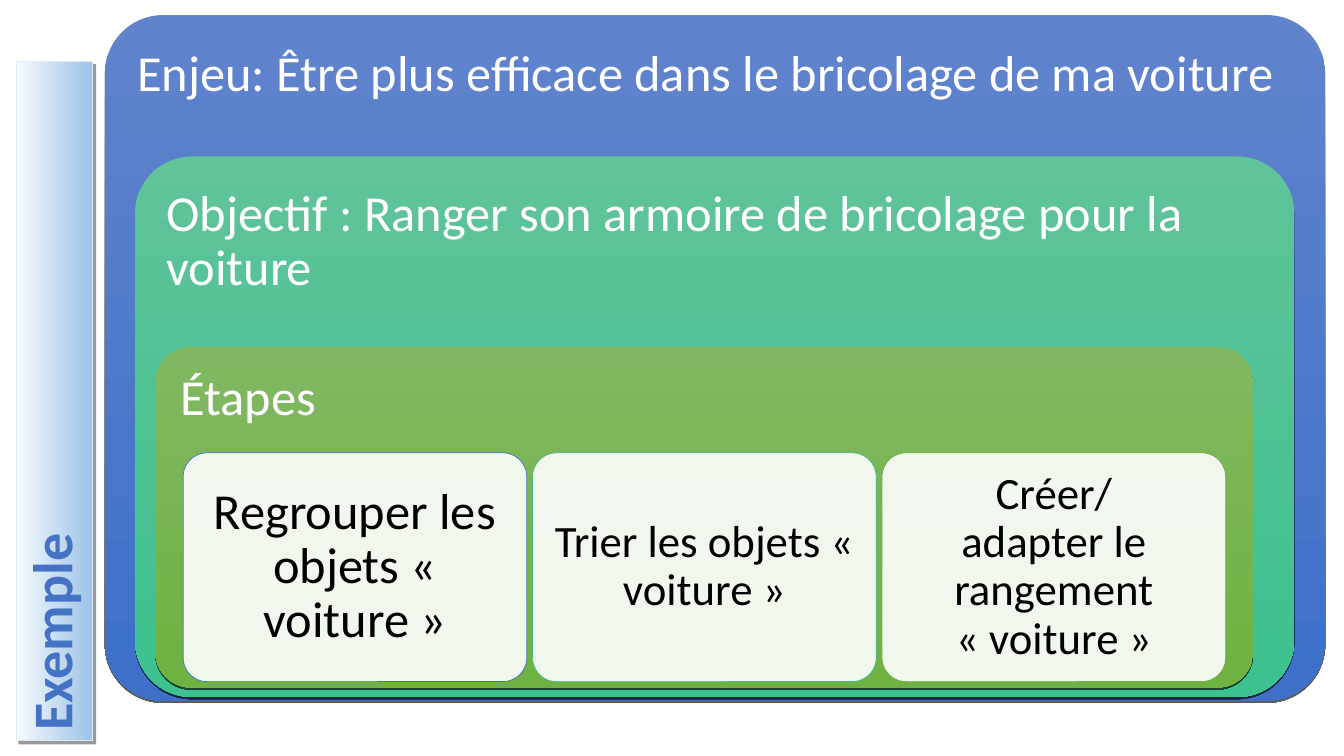
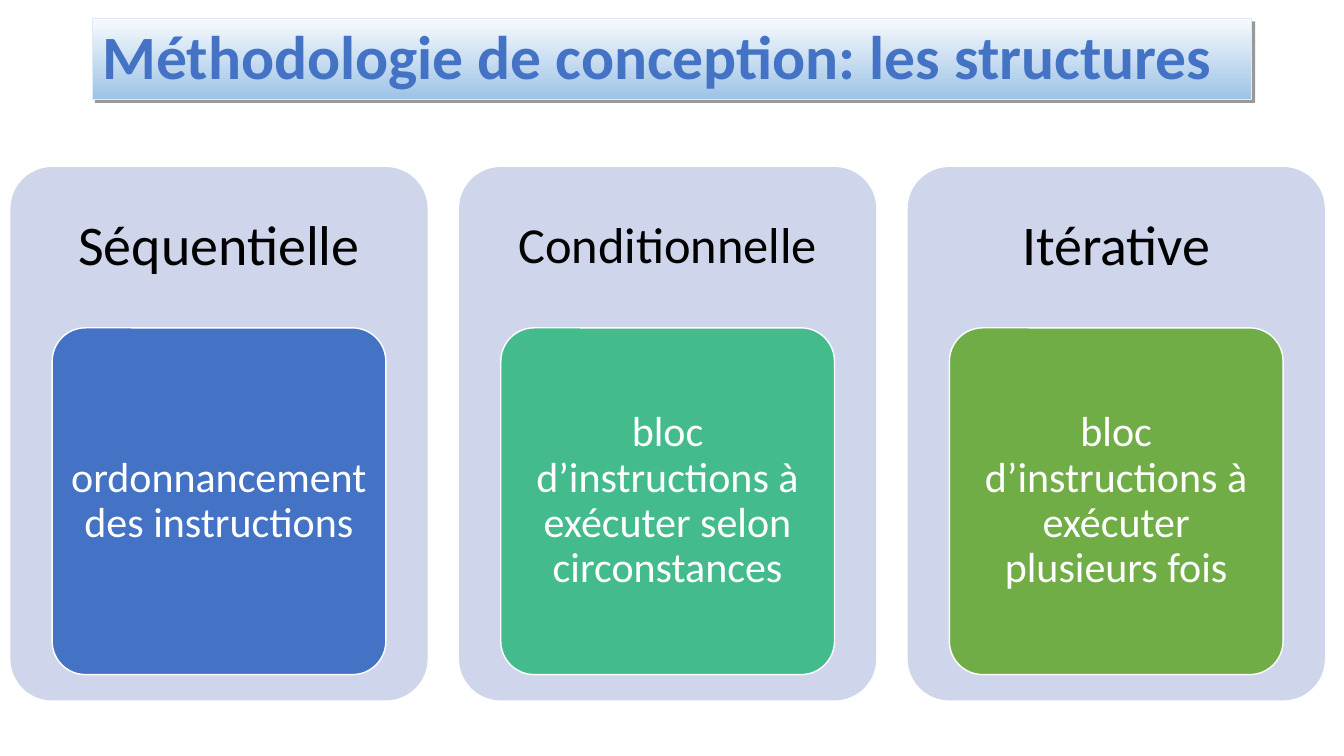
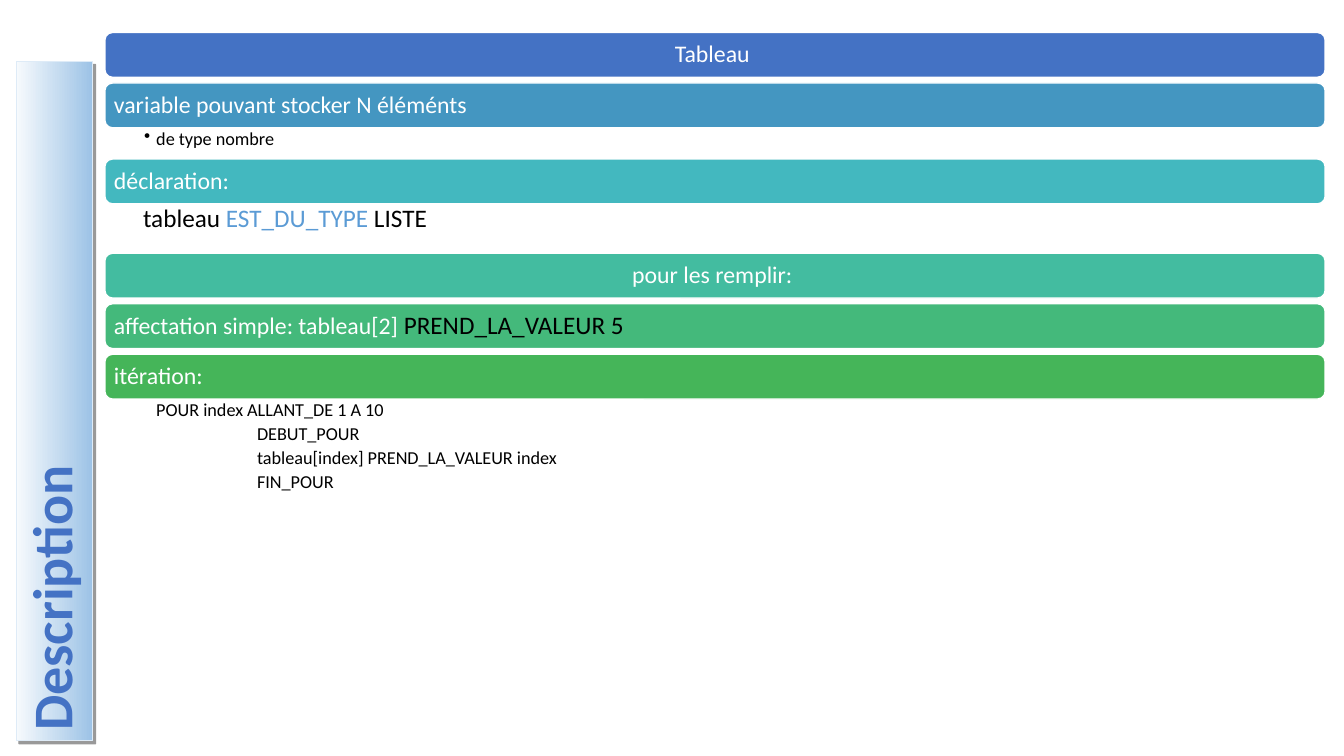
from lxml.etree import SubElement
from pptx import Presentation
from pptx.dml.color import RGBColor
from pptx.enum.shapes import MSO_SHAPE as Preset
from pptx.enum.text import MSO_ANCHOR as Anchor, PP_ALIGN as Align
from pptx.oxml.ns import qn
from pptx.util import Inches, Pt

deck = Presentation()
deck.slide_width, deck.slide_height = Inches(40 / 3), Inches(7.5)
COL, ROW = deck.slide_width / 100, deck.slide_height / 100  # 1 % of the slide

# Shared colours and styles
WHITE, BLACK, BLUE, GREEN, LEAF = "FFFFFF", "000000", "4472C4", "43BB8D", "70AD47"
KEYWORD, PANEL = "5B9BD5", "CFD5EA"
HEADING = dict(fill=("F7FAFD", "9DC3E6"), line=("DEEBF7", 0.75), shadow=(40, 3, 45),
               color=BLUE, bold=True, margins=(0.1, 0.05, 0.1, 0.05))
RAIL = (-21.23, 48, 50.55, 10.13)  # lies flat here, then turned upright
CENTERED = dict(align=Align.CENTER)


def paint(fill, *colors):
    """One colour fills solid, two run from top to bottom, none clears."""
    if not colors:
        fill.background()
    elif len(colors) == 1:
        fill.solid()
        fill.fore_color.rgb = RGBColor.from_string(colors[0])
    else:
        fill.gradient()
        fill.gradient_angle = 270
        for stop, color in zip(fill.gradient_stops, colors):
            stop.color.rgb = RGBColor.from_string(color)


def box(slide, place, paragraphs, size, fill=(), line=None, radius=0, shadow=None,
        color=WHITE, bold=False, margins=(0.1,) * 4, anchor=Anchor.MIDDLE,
        align=Align.LEFT, after=0):
    """Draw a box; place is left, top, width, height in % of the slide.

    A paragraph is a string or a list of (text, colour, size) runs.
    """
    x, y, w, h = place
    kind = Preset.ROUNDED_RECTANGLE if radius else Preset.RECTANGLE
    shape = slide.shapes.add_shape(kind, *map(int, (x * COL, y * ROW, w * COL, h * ROW)))
    if radius:
        shape.adjustments[0] = radius
    paint(shape.fill, *fill)
    paint(shape.line.fill, *(line or ())[:1])
    if line:
        shape.line.width = Pt(line[1])
    shape.shadow.inherit = False
    if shadow:
        alpha, distance, angle = shadow
        effects = shape._element.spPr.find(qn("a:effectLst"))
        outer = SubElement(effects, qn("a:outerShdw"), blurRad="0", dist=str(Pt(distance)),
                           dir=str(angle * 60000), algn="ctr", rotWithShape="0")
        black = SubElement(outer, qn("a:srgbClr"), val=BLACK)
        SubElement(black, qn("a:alpha"), val=str(alpha * 1000))

    # Rounded corners already push the text inwards
    corner = 0.29 * radius * min(shape.width, shape.height)
    frame = shape.text_frame
    layout = dict(word_wrap=True, vertical_anchor=anchor)
    for side, margin in zip(("left", "top", "right", "bottom"), margins):
        layout[f"margin_{side}"] = int(Inches(margin) - corner)
    for name, value in layout.items():
        setattr(frame, name, value)

    for i, runs in enumerate(paragraphs):
        para = frame.add_paragraph() if i else frame.paragraphs[0]
        for name, value in dict(alignment=align, line_spacing=0.9, space_after=Pt(after)).items():
            setattr(para, name, value)
        for text, ink, points in [(runs, color, size)] if isinstance(runs, str) else runs:
            run = para.add_run()
            run.text = text
            for name, value in dict(name="Calibri", size=Pt(points), bold=bold).items():
                setattr(run.font, name, value)
            paint(run.font.fill, ink)
    return shape


example, structures, description = (
    deck.slides.add_slide(deck.slide_layouts[6]) for _ in range(3))

# Slide 1: nested goal, objective and steps
levels = [
    ("Enjeu: Être plus efficace dans le bricolage de ma voiture",
     (7.8, 2, 90.8, 90.7), 0.085, ("6083CB", "3E70CA"), 0.32),
    ("Objectif : Ranger son armoire de bricolage pour la voiture",
     (10.05, 20.7, 86.25, 71.5), 0.105, ("60C39A", "3DC18F"), 0.31),
    ("Étapes", (11.55, 45.9, 81.7, 45.05), 0.105, ("81B861", "6FB242"), 0.25),
]
for text, place, radius, shades, margin in levels:
    box(example, place, [text], 36, shades, radius=radius, shadow=(63, 1.5, 90),
        margins=(margin,) * 4, anchor=Anchor.TOP, after=15)

steps = [
    (["Regrouper les objets « voiture »"], 36, BLUE, 0.22, 15),
    (["Trier les objets « voiture »"], 32, GREEN, 0.2, 13),
    (["Créer/", "adapter le rangement", "« voiture »"], 32, LEAF, 0.2, 0),
]
for i, (lines, size, edge, margin, after) in enumerate(steps):
    step = box(example, (13.63 + 26 * i, 59.9, 25.57, 30.27), lines, size, (WHITE,),
               (edge, 0.5), 0.105, color=BLACK, margins=(margin,) * 4, after=after, **CENTERED)
    veil = step._element.spPr.find(qn("a:solidFill")).find(qn("a:srgbClr"))
    SubElement(veil, qn("a:alpha"), val="90000")

# Slide 2: title and three structures
box(structures, (6.88, 2.5, 86.25, 10.67), ["Méthodologie de conception: les structures"],
    44, **HEADING)
kinds = [
    ("Séquentielle", 40, "ordonnancement des instructions", BLUE),
    ("Conditionnelle", 36, "bloc d’instructions à exécuter selon circonstances", GREEN),
    ("Itérative", 40, "bloc d’instructions à exécuter plusieurs fois", LEAF),
]
for i, (kind, size, meaning, shade) in enumerate(kinds):
    left = 0.78 + 33.38 * i
    box(structures, (left, 22.1, 31.04, 70.55), [kind], size, (PANEL,), radius=0.1,
        color=BLACK, margins=(0.19, 0.19, 0.19, 3.89), after=19, **CENTERED)
    box(structures, (left + 3.1, 43.37, 24.83, 45.87), [meaning], 30, (shade,), (WHITE, 1),
        0.1, margins=(0.18, 0.16, 0.18, 0.16), after=13, **CENTERED)

# Slide 3: bars, each with optional details: lines, size, height, indents
loop = ["POUR index ALLANT_DE 1 A 10", "DEBUT_POUR",
        "tableau[index] PREND_LA_VALEUR index", "FIN_POUR"]
declaration = [("tableau ", BLACK, 18), ("EST_DU_TYPE", KEYWORD, 18), (" LISTE", BLACK, 18)]
assignment = [("affectation simple: tableau[2] ", WHITE, 17), ("PREND_LA_VALEUR 5", BLACK, 18)]
bars = [
    ("Tableau ", BLUE, Align.CENTER, None),
    ("variable pouvant stocker N éléménts", "4496C1", Align.LEFT,
     (["de type nombre"], 13, 4.13, [0.13])),
    ("déclaration:", "43B8BF", Align.LEFT, ([declaration], 18, 6.53, [0])),
    ("pour les remplir: ", "43BCA0", Align.CENTER, None),
    (assignment, "44B97B", Align.LEFT, None),
    ("itération:", "45B559", Align.LEFT, (loop, 13, 13.07, [0.13, 1.13, 1.13, 1.13])),
]
BAR, GAP = 5.93, 0.75
top = 4.3
for text, shade, align, details in bars:
    box(description, (7.8, top, 90.8, BAR), [text], 17, (shade,), (WHITE, 1), 0.17,
        margins=(0.09,) * 4, align=align, after=7)
    top += BAR
    if not details:
        top += GAP
        continue
    lines, size, height, indents = details
    notes = box(description, (7.8, top, 90.8, height), lines, size, color=BLACK,
                margins=(0.38, 0.02, 0.13, 0.02), anchor=Anchor.TOP, after=3)
    for para, indent in zip(notes.text_frame.paragraphs, indents):
        props = para._p.get_or_add_pPr()
        props.set("marL", str(Inches(indent)))
        if para.text == "de type nombre":
            props.set("indent", str(Inches(-0.12)))
            SubElement(props, qn("a:buChar"), char="•")
    top += height

# Upright headings on the left edge
for slide, heading in ((example, "Exemple"), (description, "Description")):
    box(slide, RAIL, [heading], 40, **HEADING).rotation = 270

deck.save("out.pptx")
